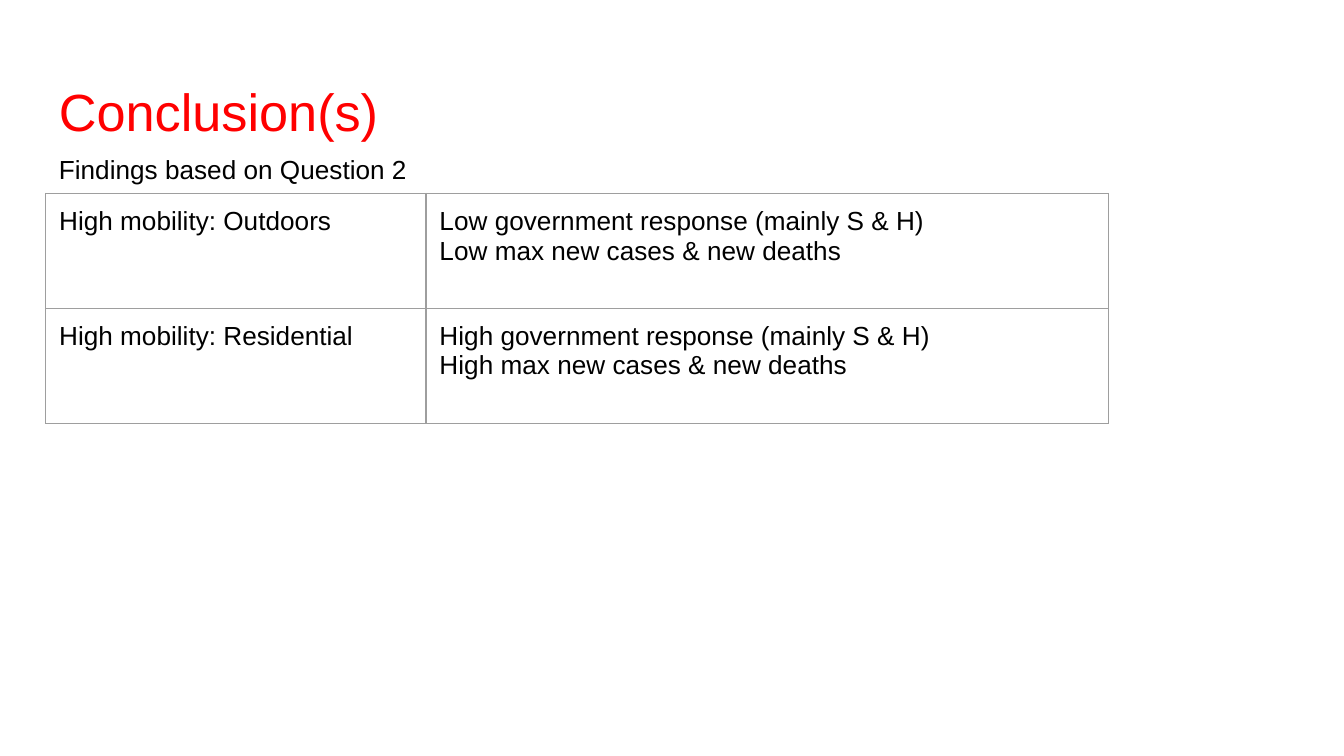
from dataclasses import dataclass

import pptx
import pptx.dml.color
import pptx.enum.text
import pptx.oxml
import pptx.oxml.ns
import pptx.util
from pptx.util import Inches


@dataclass(frozen=True)
class Theme:
    """Colours, font and type sizes of the slide."""
    font: str = "Arial"
    title: str = "FF0000"
    text: str = "000000"
    border: str = "9E9E9E"
    title_size: int = 28
    body_size: int = 14
    border_width: float = 0.75
    inset: float = 0.1


THEME = Theme()
FINDINGS = [
    ("High mobility: Outdoors",
     "Low government response (mainly S & H)\nLow max new cases & new deaths"),
    ("High mobility: Residential",
     "High government response (mainly S & H)\nHigh max new cases & new deaths"),
]


def write(tf, text, size, color):
    """Set the text of a frame and format its runs."""
    tf.text = text
    for p in tf.paragraphs:
        for r in p.runs:
            r.font.name = THEME.font
            r.font.size = pptx.util.Pt(size)
            r.font.color.rgb = pptx.dml.color.RGBColor.from_string(color)


def set_margins(holder):
    """Give a text frame or a cell the same inset on all sides."""
    holder.margin_left = holder.margin_right = Inches(THEME.inset)
    holder.margin_top = holder.margin_bottom = Inches(THEME.inset)


def add_text(slide, box, text, size, color):
    """Place a wrapped text box and return its text frame."""
    tf = slide.shapes.add_textbox(*map(Inches, box)).text_frame
    tf.word_wrap = True
    tf.vertical_anchor = pptx.enum.text.MSO_ANCHOR.TOP
    set_margins(tf)
    write(tf, text, size, color)
    return tf


def add_borders(cell):
    """Draw a thin line on all four sides of a cell."""
    tc_pr = cell._tc.get_or_add_tcPr()
    for i, side in enumerate(("lnL", "lnR", "lnT", "lnB")):
        tc_pr.insert(i, pptx.oxml.parse_xml(
            f'<a:{side} {pptx.oxml.ns.nsdecls("a")} w="{pptx.util.Pt(THEME.border_width)}">'
            f'<a:solidFill><a:srgbClr val="{THEME.border}"/></a:solidFill></a:{side}>'))


def add_findings_table(slide, box, rows, first_width):
    """Place the findings in a two-column table with rows of equal height."""
    left, top, width, height = map(Inches, box)
    table = slide.shapes.add_table(len(rows), 2, left, top, width, height).table
    table.first_row = table.horz_banding = False
    table.columns[0].width = Inches(first_width)
    table.columns[1].width = width - Inches(first_width)
    for i, row in enumerate(rows):
        for j, text in enumerate(row):
            cell = table.cell(i, j)
            set_margins(cell)
            cell.fill.background()
            add_borders(cell)
            write(cell.text_frame, text, THEME.body_size, THEME.text)


def add_conclusion(slide, box):
    """Place the title, the lead line and the findings table in a box."""
    left, top, width, height = box
    add_text(slide, (left, top, width, 0.63), "Conclusion(s)",
             THEME.title_size, THEME.title)
    tf = add_text(slide, (left, top + 0.52, width - 0.36, height - 0.52),
                  "Findings based on Question 2", THEME.body_size, THEME.text)
    tf.paragraphs[0].line_spacing = 1.15
    tf.paragraphs[0].space_after = pptx.util.Pt(16)
    add_findings_table(slide, (left, top + 0.95, 7.91, 1.71), FINDINGS, 2.83)


def main():
    """Build the slide and save it."""
    prs = pptx.Presentation()
    prs.slide_width, prs.slide_height = Inches(10), Inches(10 * 9 / 16)
    slide = prs.slides.add_slide(prs.slide_layouts[6])
    add_conclusion(slide, (0.34, 0.49, 9.32, 3.88))
    prs.save("out.pptx")


if __name__ == "__main__":
    main()
